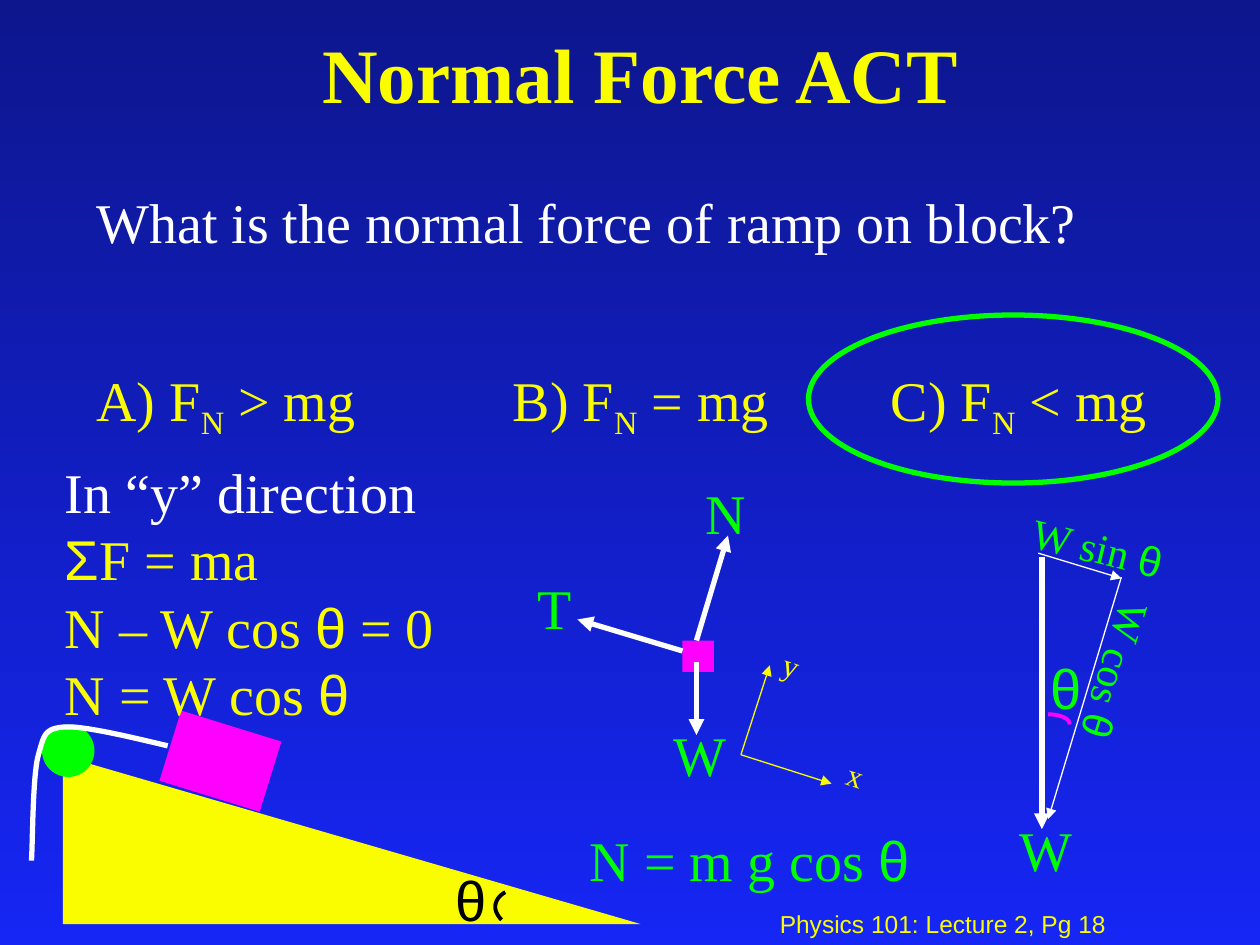
from dataclasses import dataclass
from itertools import groupby

from lxml import etree
from pptx import Presentation
from pptx.dml.color import RGBColor
from pptx.enum.shapes import MSO_CONNECTOR, MSO_SHAPE as Geometry
from pptx.enum.text import MSO_ANCHOR, PP_ALIGN
from pptx.oxml.ns import qn
from pptx.util import Pt


@dataclass(frozen=True)
class Theme:
    yellow: str = "FAFD00"
    green: str = "00FF00"
    magenta: str = "FF00FF"
    white: str = "FFFFFF"
    black: str = "000000"
    sky_top: str = "0D168D"
    sky_bottom: str = "1626F4"
    serif: str = "Times New Roman"
    sans: str = "Arial"
    title: int = 44
    text: int = 32
    component: int = 24
    axis: int = 18
    footer: int = 14


theme = Theme()
rgb = RGBColor.from_string

prs = Presentation()
prs.slide_width, prs.slide_height = Pt(720), Pt(540)
slide = prs.slides.add_slide(prs.slide_layouts[6])
shapes = slide.shapes

sky = slide.background.fill
sky.gradient()
sky.gradient_angle = 270
for stop, color in zip(sky.gradient_stops, (theme.sky_top, theme.sky_bottom)):
    stop.color.rgb = rgb(color)


def add_text(lines, left, top, width, height=46, size=theme.text,
             color=theme.green, font=theme.serif, rotation=0):
    """Write lines; |N| marks a subscript and Greek letters are set in sans."""
    box = shapes.add_textbox(Pt(left), Pt(top), Pt(width), Pt(height))
    box.rotation = rotation
    frame = box.text_frame
    frame.word_wrap = True
    for number, line in enumerate(lines.split("\n")):
        paragraph = frame.add_paragraph() if number else frame.paragraphs[0]
        for index, part in enumerate(line.split("|")):
            for greek, letters in groupby(part, lambda letter: letter in "θΣ"):
                run = paragraph.add_run()
                run.text = "".join(letters)
                if greek:
                    run.font.name = theme.sans
                if index % 2:
                    run.font._element.set("baseline", "-25000")
        paragraph.font.size = Pt(size)
        paragraph.font.name = font
        paragraph.font.color.rgb = rgb(color)
    return frame


# Footer, title and question
footer = add_text("Physics 101: Lecture 2, Pg 18", 438.5, 517.7, 294.5, 22,
                  theme.footer, theme.yellow, theme.sans)
footer.paragraphs[0].line_spacing = 0.9

title = add_text("Normal Force ACT", 84, 0, 564, 90, theme.title, theme.yellow)
title.vertical_anchor = MSO_ANCHOR.MIDDLE
title.paragraphs[0].alignment = PP_ALIGN.CENTER
title.paragraphs[0].line_spacing = 0.9
title.paragraphs[0].font.bold = True

body = add_text("What is the normal force of ramp on block?\n", 48, 108, 624, 324,
                color=theme.white)
question, answers = body.paragraphs
tabs = etree.Element(qn("a:tabLst"))
for position in (238, 454):
    etree.SubElement(tabs, qn("a:tab"), pos=str(Pt(position)), algn="l")
answers._p.get_or_add_pPr().insert(0, tabs)
for index, part in enumerate("A) F|N| > mg\tB) F|N| = mg\tC) F|N| < mg".split("|")):
    run = answers.add_run()
    run.text = part
    if index % 2:
        run.font._element.set("baseline", "-25000")
answers.font.color.rgb = rgb(theme.yellow)
question.line_spacing = answers.line_spacing = 0.9
answers.space_before = Pt(63)

# Ramp, block, pulley, answer ring and free-body block
for geometry, left, top, width, height, rotation, fill, outline in (
    (Geometry.RIGHT_TRIANGLE, 36, 432, 330, 96, 0, theme.yellow, None),
    (Geometry.RECTANGLE, 96, 414, 60, 42, 17.2, theme.magenta, None),
    (Geometry.OVAL, 24, 414, 30, 30, 0, theme.green, None),
    (Geometry.OVAL, 462, 180, 234, 96, 0, None, theme.green),
    (Geometry.RECTANGLE, 390, 366, 18, 18, 0, theme.magenta, None),
):
    part = shapes.add_shape(geometry, Pt(left), Pt(top), Pt(width), Pt(height))
    part.rotation = rotation
    part.shadow.inherit = False
    if fill:
        part.fill.solid()
        part.fill.fore_color.rgb = rgb(fill)
    else:
        part.fill.background()
    if outline:
        part.line.color.rgb = rgb(outline)
        part.line.width = Pt(3)
    else:
        part.line.fill.background()

# Rope and angle marks: Bezier chains of one start and three points per piece
rope = [(95.8, 426.2), (86.4, 424.1), (49.7, 414.7), (37.4, 415.4),
        (25.2, 416.2), (25.2, 419.8), (21.6, 432.7),
        (18.7, 445), (18.7, 479.5), (18, 491.8)]
ramp_angle = [(286.6, 525.6), (284.4, 523.4), (283, 520.6), (283, 518.4),
              (283, 514.8), (285.1, 511.9), (288.7, 509.8)]
weight_angle = [(599, 408.2), (605.5, 408.2), (611.3, 410.4), (611.3, 414)]
STEPS = 16
for chain, color, width in ((rope, theme.white, 3), (ramp_angle, theme.black, 2.25),
                            (weight_angle, theme.magenta, 2.25)):
    points = []
    for first in range(0, len(chain) - 1, 3):
        controls = chain[first:first + 4]
        for step in range(1, STEPS + 1):
            t = step / STEPS
            weights = ((1 - t) ** 3, 3 * t * (1 - t) ** 2, 3 * t * t * (1 - t), t ** 3)
            points.append([Pt(sum(w * c for w, c in zip(weights, axis)))
                           for axis in zip(*controls)])
    builder = shapes.build_freeform(Pt(chain[0][0]), Pt(chain[0][1]))
    builder.add_line_segments(points, close=False)
    curve = builder.convert_to_shape()
    curve.shadow.inherit = False
    curve.fill.background()
    curve.line.color.rgb = rgb(color)
    curve.line.width = Pt(width)

# Forces, axes and weight components
for x1, y1, x2, y2, color, width in (
    (390, 372, 330, 354, theme.white, 3),
    (398, 366, 416, 306, theme.white, 3),
    (398, 378, 398, 420, theme.white, 3),
    (423.4, 431.3, 439.9, 380.2, theme.yellow, 0.75),
    (423.4, 431.3, 475.2, 447.8, theme.yellow, 0.75),
    (595.4, 318.2, 595.4, 473.8, theme.white, 3),
    (593.3, 316.1, 640.8, 330.5, theme.white, 0.75),
    (640.8, 329.8, 599, 468, theme.white, 0.75),
):
    arrow = shapes.add_connector(MSO_CONNECTOR.STRAIGHT, Pt(x1), Pt(y1), Pt(x2), Pt(y2))
    arrow.line.color.rgb = rgb(color)
    arrow.line.width = Pt(width)
    etree.SubElement(arrow.line._get_or_add_ln(), qn("a:tailEnd"), type="triangle")
    etree.SubElement(arrow._element.spPr, qn("a:effectLst"))

# Force labels
for force, left, top in (("T", 300, 324), ("N", 396, 270),
                         ("W", 378, 408), ("W", 575.3, 462.2)):
    add_text(force, left, top, 48)

# Derivation
derivation = add_text("In “y” direction\nΣF = ma\nN – W cos θ = 0\nN = W cos θ",
                      30, 258, 336, 161, color=theme.yellow)
derivation.paragraphs[0].font.color.rgb = rgb(theme.white)
add_text("N = m g cos θ", 330, 468, 240)

# Angles, axes and components
add_text("θ", 253.4, 491, 54, color=theme.black)
add_text("θ", 593.3, 370, 54)
for axis, left, top in (("y", 440.6, 365.8), ("x", 477.4, 428.4)):
    add_text(axis, left, top, 24, 28.8, theme.axis, theme.yellow, rotation=18)
for component, left, top, rotation in (("W sin θ", 581.8, 300.2, 13.7),
                                       ("W cos θ", 562.3, 386.6, 107.2)):
    add_text(component, left, top, 138.2, 36, theme.component, rotation=rotation)

prs.save("out.pptx")
